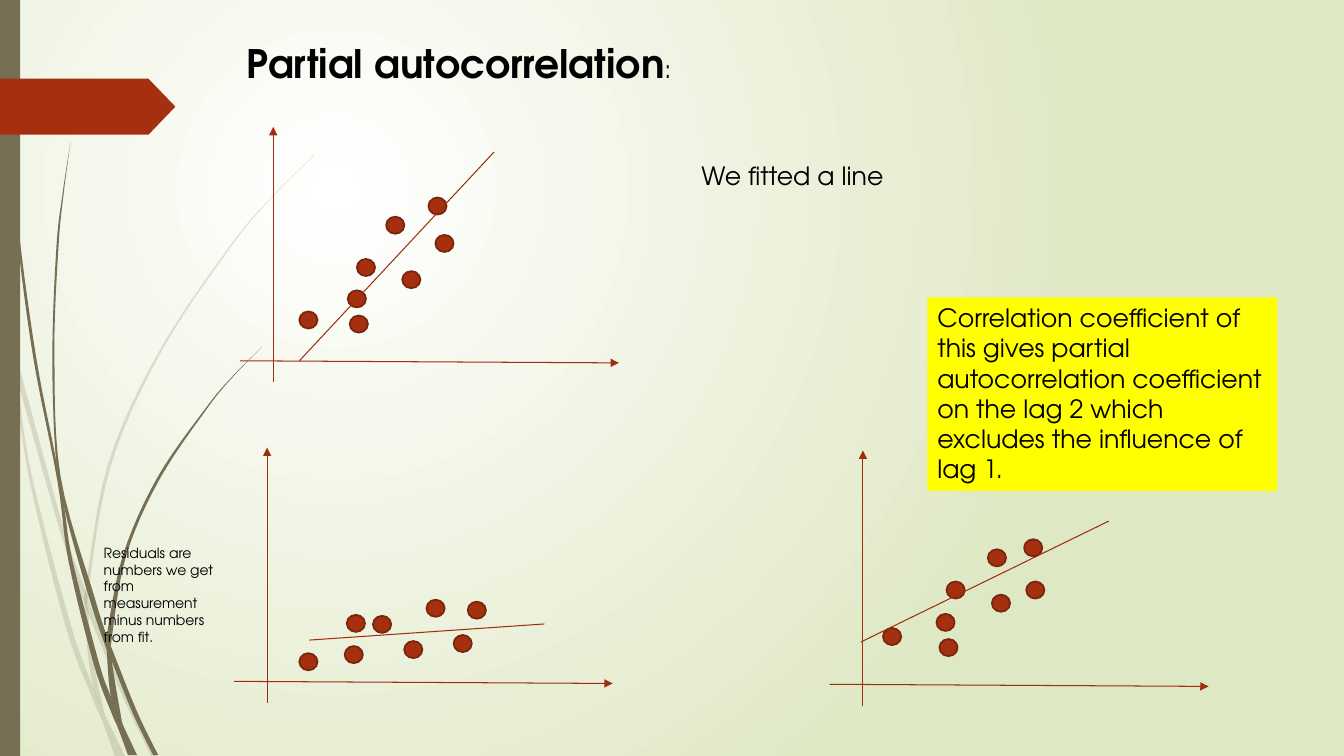
"""Build the partial autocorrelation slide with three scatter sketches."""
import pptx
import pptx.dml.color
import pptx.enum.shapes
import pptx.enum.text
import pptx.oxml
import pptx.oxml.ns
import pptx.util

Pt = pptx.util.Pt
SHAPE = pptx.enum.shapes.MSO_SHAPE
ANCHOR = pptx.enum.text.MSO_ANCHOR
FONT = "TeX Gyre Adventor"
COLORS = {"ink": "000000", "olive": "766F54", "rust": "A53010", "rim": "7A240C",
          "line": "9E2E0F", "note": "FFFF00", "white": "FFFFFF", "leaf": "DFE8C4"}

PALE = [
    ([(0, 203), (6.5, 231.8), (7.9, 252), (12.2, 270.7), (22.3, 337.7),
      (50.4, 445.7), (67, 491.8), (75.6, 511.9), (89.3, 540)],
     [(82.1, 540), (72.7, 514.1), (66.2, 499), (46.8, 447.1), (20.2, 338.4),
      (7.9, 252), (0, 215.3)]),
    ([(10.1, 248.4), (44.6, 374.4), (61.2, 421.9), (66.2, 437), (91.4, 498.2),
      (111.6, 540)],
     [(108, 540), (88.6, 499.7), (63.4, 439.2), (60.5, 431.3), (41.8, 375.8),
      (12.2, 270.7)]),
    ([(224.6, 110.2), (193, 141.8), (164.2, 175.7), (113.8, 250.6), (77, 331.9),
      (61.2, 420.5), (60.5, 431.3), (62.6, 465.1), (67, 491.8), (75.6, 511.9)],
     [(74.2, 508.3), (65.5, 465.1), (63.4, 439.2), (63.4, 420.5), (79.2, 332.6),
      (115.2, 251.3), (164.9, 176.4), (193, 142.6), (224.6, 110.9)]),
]
DARK = [
    ([(2.9, 0), (3.6, 34.6), (5.8, 78.5), (13.7, 167), (25.9, 255.6),
      (39.6, 326.2), (46.1, 363.6), (51.8, 400.3), (70.6, 473), (79.2, 497.5),
      (87.8, 517.7), (97.9, 539.3)],
     [(91.4, 539.3), (84.2, 519.8), (79.9, 509.8), (67, 474.5), (49, 401),
      (41, 343.4), (23.8, 255.6), (12.2, 167.8), (5, 79.2), (2.2, 0)]),
    ([(50.4, 101.5), (44.6, 139), (40.3, 176.4), (37.4, 251.3), (39.6, 323.3),
      (46.1, 363.6), (63.4, 426.2), (76.3, 464.4), (79.9, 472.3), (95, 509.8),
      (109.4, 539.3)],
     [(113, 539.3), (97.9, 508.3), (79.2, 461.5), (76.3, 454.3), (67, 424.8),
      (43.2, 339.8), (38.9, 251.3), (41.8, 176.4), (45.4, 139), (50.4, 101.5)]),
    ([(187.2, 247.7), (166.3, 268.6), (146.9, 291.6), (112.3, 341.3),
      (87.8, 396.7), (76.3, 454.3), (76.3, 464.4), (79.2, 497.5), (87.8, 517.7)],
     [(87.1, 515.5), (79.9, 472.3), (79.9, 455.8), (90, 397.4), (113.8, 342.7),
      (147.6, 292.3), (166.3, 269.3), (187.2, 247.7)]),
]
PLOTS = [
    ((171.4, 90.7),
     [(213.8, 222.5), (249.8, 225.4), (254.9, 185), (287.3, 193.7),
      (306, 141.1), (275.8, 154.8), (248.4, 207.4), (311, 167.8)],
     [(213.8, 257.8), (352.8, 108.7)]),
    ((167, 319.7),
     [(213.8, 466.6), (246.2, 461.5), (266.4, 439.9), (288.7, 457.9),
      (334.1, 429.8), (304.6, 428.4), (247.7, 439.2), (324, 453.6)],
     [(221, 457.2), (388.8, 445.7)]),
    ((592.6, 321.8),
     [(630.7, 448.6), (671, 456.5), (676.1, 415.4), (708.5, 424.8),
      (731.5, 385.2), (705.6, 392.4), (668.9, 438.5), (733, 415.4)],
     [(614.9, 458.6), (792, 372.2)]),
]


def rgb(name):
    """Return the named colour."""
    return pptx.dml.color.RGBColor.from_string(COLORS[name])


def paint(shape, fill, rim=None):
    """Give a shape a flat fill and an optional outline."""
    shape.shadow.inherit = False
    shape.fill.solid()
    shape.fill.fore_color.rgb = rgb(fill)
    if rim:
        shape.line.color.rgb = rgb(rim)
        shape.line.width = Pt(1.25)
    else:
        shape.line.fill.background()


def block(slide, kind, box, fill, rim=None):
    """Add a preset shape."""
    shape = slide.shapes.add_shape(kind, *map(Pt, box))
    paint(shape, fill, rim)
    return shape


def smooth(knots, steps=6):
    """Return points on a curve through all knots."""
    ends = [knots[0], *knots, knots[-1]]
    curve = []
    for a, b, c, d in zip(ends, ends[1:], ends[2:], ends[3:]):
        for t in (i / steps for i in range(steps)):
            curve.append(tuple(
                q + t * (r - p) / 2 + t * t * (2 * p - 5 * q + 4 * r - s) / 2
                + t ** 3 * (3 * q - p - 3 * r + s) / 2
                for p, q, r, s in zip(a, b, c, d)))
    return curve + [knots[-1]]


def wisp(slide, sides, alpha=None):
    """Add a grass blade between two smooth sides."""
    edge = [(Pt(x), Pt(y)) for side in sides for x, y in smooth(side)]
    pen = slide.shapes.build_freeform(*edge[0])
    pen.add_line_segments(edge[1:])
    blade = pen.convert_to_shape()
    paint(blade, "olive")
    if alpha:
        tint = next(blade.element.iter(pptx.oxml.ns.qn("a:srgbClr")))
        tint.append(pptx.oxml.parse_xml(
            f'<a:alpha {pptx.oxml.ns.nsdecls("a")} val="{alpha * 1000}"/>'))


def rule(slide, start, end, arrow=False):
    """Add a thin line, with an arrowhead for an axis."""
    line = slide.shapes.add_connector(
        pptx.enum.shapes.MSO_CONNECTOR.STRAIGHT, *map(Pt, (*start, *end)))
    line.line.color.rgb = rgb("line")
    line.line.width = Pt(0.75)
    names = pptx.oxml.ns.nsdecls("a")
    if arrow:
        line.line._get_or_add_ln().append(
            pptx.oxml.parse_xml(f'<a:tailEnd {names} type="triangle"/>'))
    line.element.spPr.append(pptx.oxml.parse_xml(f"<a:effectLst {names}/>"))


def plot(slide, corner, dots, fit):
    """Add axes, dots and a fitted line."""
    x, y = corner
    rule(slide, (x + 23.8, y + 182.2), (x + 23.8, y), True)
    rule(slide, (x, y + 167), (x + 270.7, y + 168.5), True)
    for dot in dots:
        block(slide, SHAPE.OVAL, (*dot, 13, 12.2), "rust", "rim")
    rule(slide, *fit)


def write(shape, text, size, anchor=ANCHOR.TOP):
    """Put one left-aligned paragraph in a shape."""
    frame = shape.text_frame
    frame.word_wrap = True
    frame.vertical_anchor = anchor
    para = frame.paragraphs[0]
    para.text = text
    para.alignment = pptx.enum.text.PP_ALIGN.LEFT
    para.font.name = FONT
    para.font.size = Pt(size)
    para.font.color.rgb = rgb("ink")
    return para


def label(slide, box, text, size):
    """Add a text box."""
    write(slide.shapes.add_textbox(*map(Pt, box)), text, size)


def head(slide):
    """Place and format the title."""
    title = slide.shapes.title
    title.left, title.top, title.width, title.height = map(
        Pt, (169.2, 24.5, 648.7, 41))
    para = write(title, "Partial autocorrelation", 28, ANCHOR.MIDDLE)
    para.runs[0].font.bold = True
    colon = para.add_run()
    colon.text = ":"
    colon.font.size = Pt(18)
    colon.font.bold = False


def glow(slide):
    """Set the radial background."""
    fill = slide.background.fill
    fill.solid()
    old = next(slide.element.iter(pptx.oxml.ns.qn("a:solidFill")))
    stops = "".join(
        f'<a:gs pos="{pos}"><a:srgbClr val="{COLORS[name]}"/></a:gs>'
        for pos, name in ((0, "white"), (100000, "leaf")))
    old.getparent().replace(old, pptx.oxml.parse_xml(
        f'<a:gradFill {pptx.oxml.ns.nsdecls("a")} rotWithShape="1">'
        f'<a:gsLst>{stops}</a:gsLst><a:path path="circle"><a:fillToRect '
        'l="50000" t="50000" r="100000" b="100000"/></a:path></a:gradFill>'))


def main():
    """Build and save the slide."""
    deck = pptx.Presentation()
    deck.slide_width, deck.slide_height = Pt(960), Pt(540)
    slide = deck.slides.add_slide(deck.slide_layouts[5])
    glow(slide)
    for sides in PALE:
        wisp(slide, sides, 20)
    for sides in DARK:
        wisp(slide, sides)
    block(slide, SHAPE.RECTANGLE, (0, 0, 14.4, 540), "olive")
    tag = block(slide, SHAPE.PENTAGON, (0, 56.2, 125.3, 40), "rust")
    tag.adjustments[0] = 0.48
    head(slide)
    for item in PLOTS:
        plot(slide, *item)
    label(slide, (493.9, 110.9, 410.4, 28.8), "We fitted a line", 18)
    note = block(slide, SHAPE.RECTANGLE, (662.4, 212.4, 250, 138.2), "note")
    write(note, "Correlation coefficient of this gives partial autocorrelation "
          "coefficient on the lag 2 which excludes the influence of lag 1.", 18)
    label(slide, (67, 385.2, 100.8, 80), "Residuals are numbers we get from "
          "measurement minus numbers from fit.", 10)
    deck.save("out.pptx")


if __name__ == "__main__":
    main()
